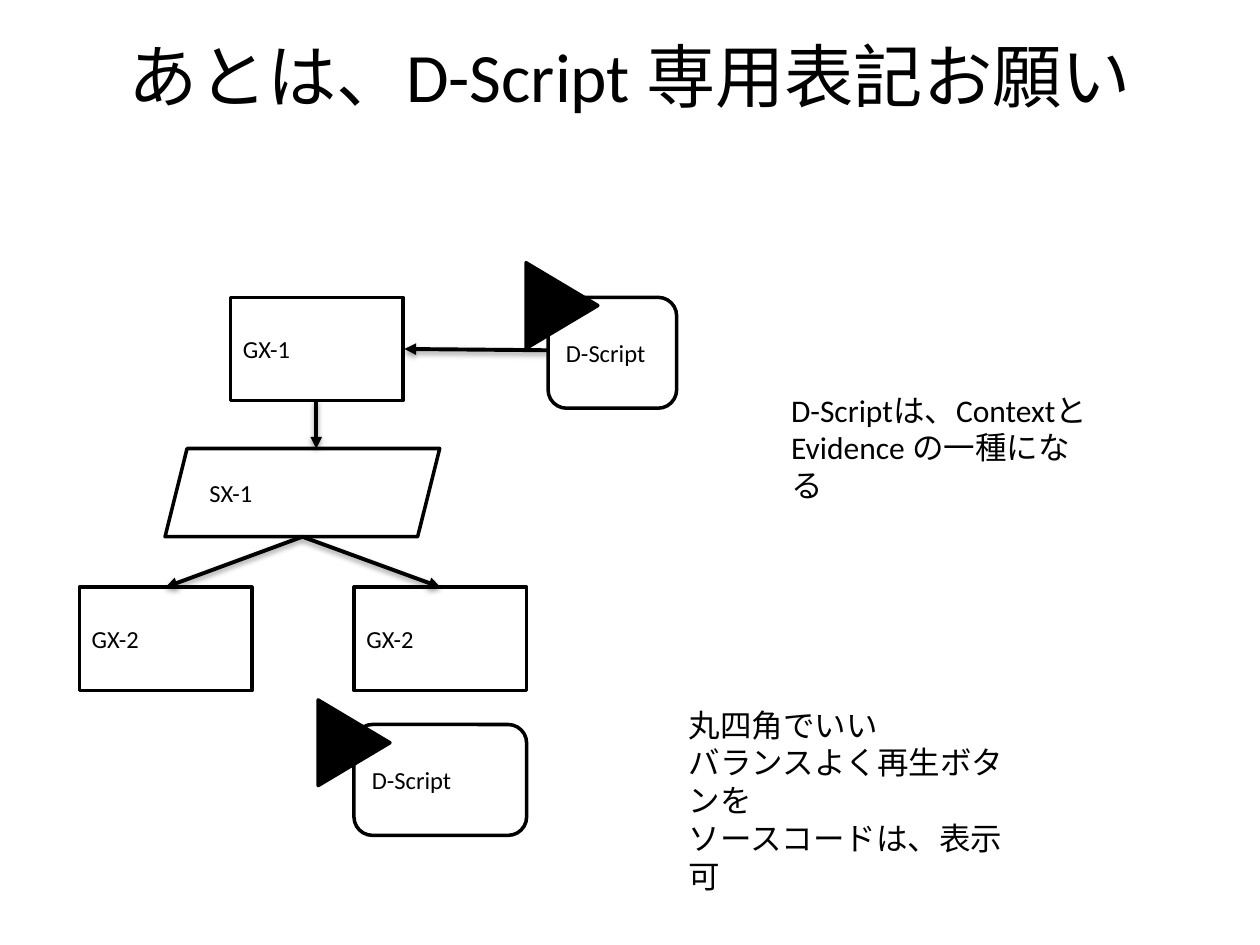
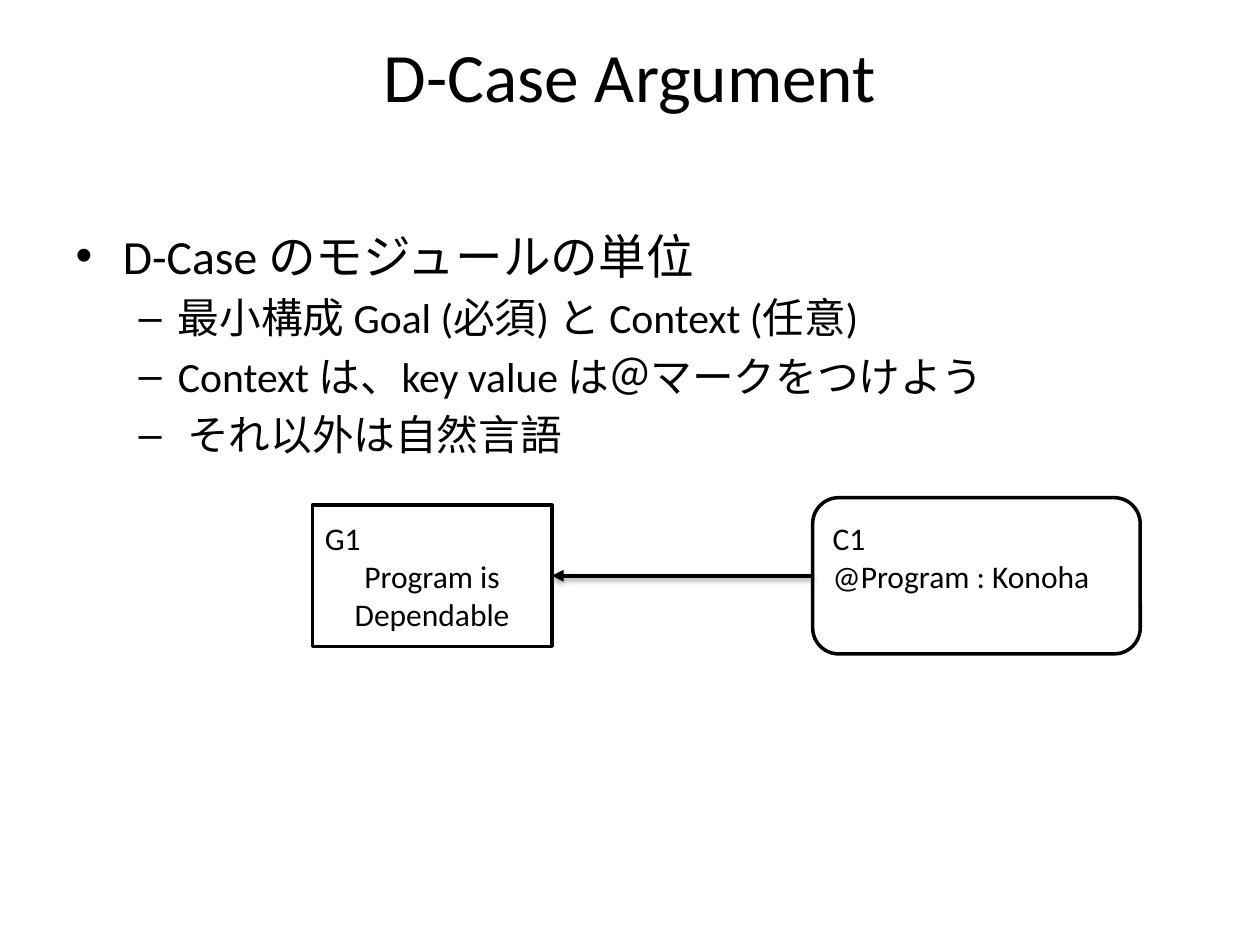
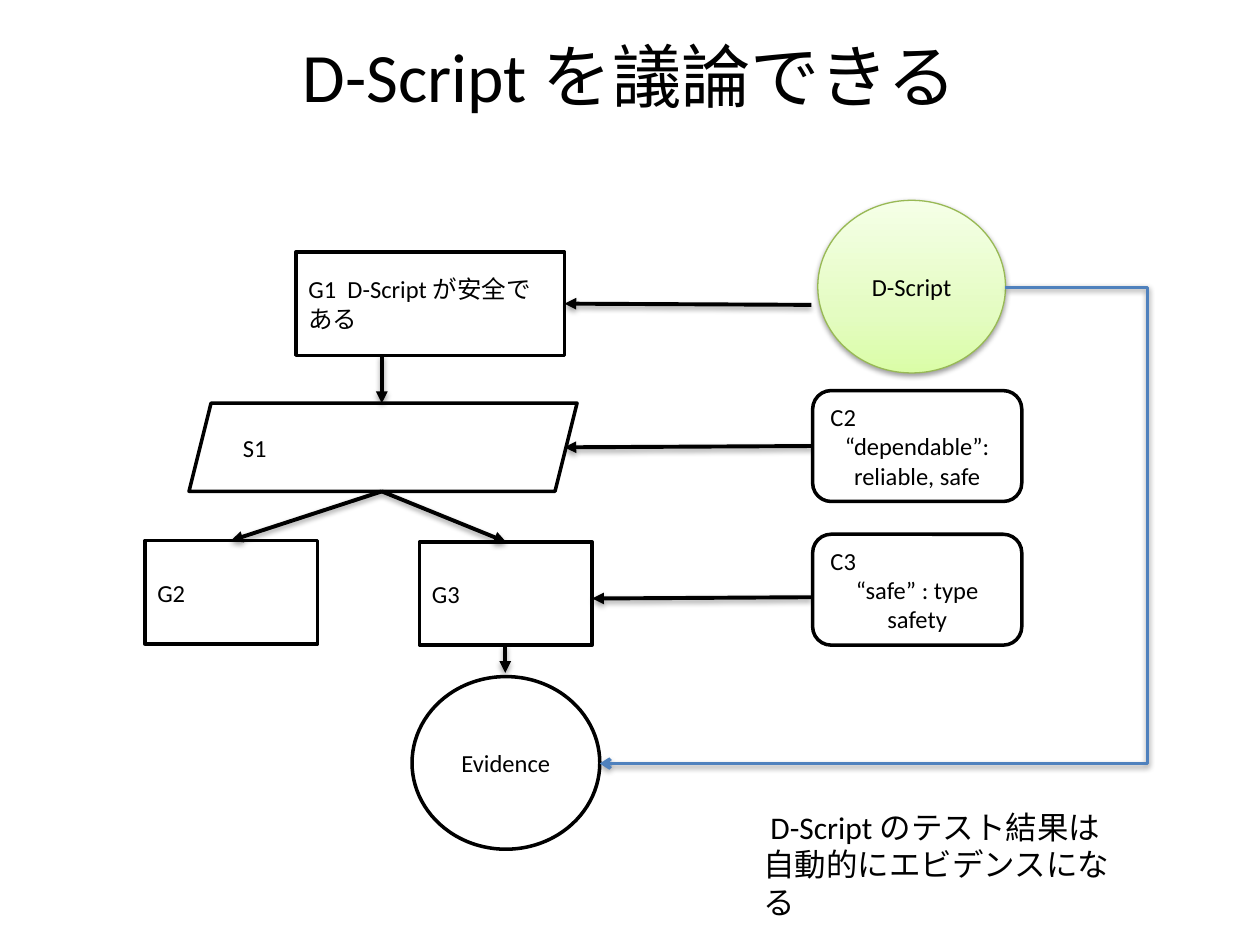
from dataclasses import dataclass

from lxml.etree import SubElement
from pptx import Presentation
from pptx.dml.color import RGBColor
from pptx.enum.shapes import MSO_CONNECTOR as CXN, MSO_SHAPE as SHAPE
from pptx.enum.text import MSO_ANCHOR as ANCHOR, MSO_AUTO_SIZE as AUTO, PP_ALIGN as ALIGN
from pptx.oxml.ns import qn
from pptx.util import Inches, Pt


@dataclass(frozen=True)
class Theme:
    font: str = "Calibri"
    ink: str = "000000"
    paper: str = "FFFFFF"
    link: str = "4F81BD"
    script_line: str = "98B955"
    script_stops: tuple = ((0, "DAFDA7"), (35, "E4FCC2"), (100, "F5FFE7"))
    title: float = 39.6
    bullet: float = 27.2
    sub_bullet: float = 23.8
    note: float = 18
    node: float = 14
    outline: float = 2
    arrow: float = 2.25


T = Theme()
GOAL = (1.37, 0.82)
CONTEXT = (1.66, 0.88)
CIRCLE = (1.49, 1.37)


def rgb(value):
    return RGBColor.from_string(value)


def write(tf, *lines, size=T.node, first=ALIGN.LEFT, rest=None, anchor=ANCHOR.MIDDLE):
    tf.word_wrap = True
    tf.auto_size = AUTO.NONE
    tf.vertical_anchor = anchor
    for i, line in enumerate(lines):
        p = tf.paragraphs[0] if i == 0 else tf.add_paragraph()
        p.alignment = first if i == 0 or rest is None else rest
        r = p.add_run()
        r.text = line
        r.font.name = T.font
        r.font.size = Pt(size)
        r.font.color.rgb = rgb(T.ink)


def place(s, x, y, w, h):
    s.left, s.top, s.width, s.height = map(Inches, (x, y, w, h))


def add_slide(prs, title, layout=5):
    slide = prs.slides.add_slide(prs.slide_layouts[layout])
    place(slide.shapes.title, 0.5, 0.3, 9, 0.59)
    write(slide.shapes.title.text_frame, title, size=T.title, first=ALIGN.CENTER)
    return slide


def add_shadow(s):
    sp_pr = s._element.spPr
    effects = sp_pr.find(qn("a:effectLst"))
    if effects is None:
        effects = SubElement(sp_pr, qn("a:effectLst"))
    shadow = SubElement(effects, qn("a:outerShdw"), blurRad="40000", dist="20000",
                        dir="5400000", rotWithShape="0")
    color = SubElement(shadow, qn("a:srgbClr"), val=T.ink)
    SubElement(color, qn("a:alpha"), val="38000")


def add_node(slide, shape, at, box, *lines, fill=T.paper, **fmt):
    s = slide.shapes.add_shape(shape, *map(Inches, at + box))
    s.shadow.inherit = False
    s.fill.solid()
    s.fill.fore_color.rgb = rgb(fill)
    s.line.color.rgb = rgb(T.ink)
    s.line.width = Pt(T.outline)
    write(s.text_frame, *lines, **fmt)
    return s


def add_play_mark(slide, at):
    s = add_node(slide, SHAPE.ISOSCELES_TRIANGLE, at, (0.68, 0.57), fill=T.ink)
    s.rotation = 90


def add_script_circle(slide, at, label):
    s = add_node(slide, SHAPE.OVAL, at, CIRCLE, label, first=ALIGN.CENTER)
    s.fill.gradient()
    s.fill.gradient_angle = 90
    stops = s._element.spPr.find(qn("a:gradFill")).find(qn("a:gsLst"))
    for stop in list(stops):
        stops.remove(stop)
    for pos, color in T.script_stops:
        stop = SubElement(stops, qn("a:gs"), pos=str(pos * 1000))
        SubElement(stop, qn("a:srgbClr"), val=color)
    s.line.color.rgb = rgb(T.script_line)
    s.line.width = Pt(0.75)
    add_shadow(s)


def add_arrow(slide, start, end, kind=CXN.STRAIGHT, color=T.ink, width=T.arrow, head="triangle"):
    c = slide.shapes.add_connector(kind, *map(Inches, start + end))
    c.line.color.rgb = rgb(color)
    c.line.width = Pt(width)
    SubElement(c._element.spPr.find(qn("a:ln")), qn("a:tailEnd"), type=head)
    add_shadow(c)
    return c


def add_elbow(slide, start, end, bend):
    c = add_arrow(slide, start, end, CXN.ELBOW, T.link, T.outline, "arrow")
    geom = c._element.spPr.find(qn("a:prstGeom"))
    guides = geom.find(qn("a:avLst"))
    if guides is None:
        guides = SubElement(geom, qn("a:avLst"))
    SubElement(guides, qn("a:gd"), name="adj1", fmla=f"val {round(bend * 100000)}")


def add_note(slide, at, box, *lines):
    s = slide.shapes.add_textbox(*map(Inches, at + box))
    write(s.text_frame, *lines, size=T.note, anchor=ANCHOR.TOP)


def add_bullets(slide, head, *subs):
    body = slide.placeholders[1]
    place(body, 0.5, 1.75, 9, 1.81)
    tf = body.text_frame
    write(tf, head, *subs, size=T.sub_bullet, anchor=ANCHOR.TOP)
    tf.paragraphs[0].runs[0].font.size = Pt(T.bullet)
    for p in tf.paragraphs[1:]:
        p.level = 1


def build_notation(prs):
    slide = add_slide(prs, "あとは、D-Script 専用表記お願い")
    add_node(slide, SHAPE.RECTANGLE, (1.83, 2.36), GOAL, "GX-1")
    add_arrow(slide, (4.35, 2.78), (3.21, 2.77))
    add_node(slide, SHAPE.PARALLELOGRAM, (1.31, 3.56), (2.18, 0.7), "SX-1")
    add_arrow(slide, (2.51, 3.18), (2.51, 3.56))
    add_node(slide, SHAPE.ROUNDED_RECTANGLE, (4.35, 2.36), (1.02, 0.88), "D-Script")
    for x in (0.63, 2.81):
        add_node(slide, SHAPE.RECTANGLE, (x, 4.66), GOAL, "GX-2")
        add_arrow(slide, (2.4, 4.26), (x + GOAL[0] / 2, 4.66))
    add_node(slide, SHAPE.ROUNDED_RECTANGLE, (2.81, 5.75), (1.37, 0.88), "D-Script")
    add_note(slide, (5.37, 5.55), (2.84, 1.01),
             "丸四角でいい", "バランスよく再生ボタンを", "ソースコードは、表示可")
    for at in ((2.47, 5.61), (4.12, 2.14)):
        add_play_mark(slide, at)
    add_note(slide, (6.18, 3.05), (2.62, 0.71), "D-Scriptは、Contextと", "Evidence の一種になる")


def build_argument(prs):
    slide = add_slide(prs, "D-Case Argument", layout=1)
    add_bullets(slide, "D-Case のモジュールの単位",
                "最小構成 Goal (必須) と Context (任意)",
                "Context は、key value は＠マークをつけよう",
                " それ以外は自然言語")
    add_node(slide, SHAPE.RECTANGLE, (2.48, 4.01), (1.9, 1.12),
             "G1", "Program is Dependable", size=T.note, rest=ALIGN.CENTER)
    context = add_node(slide, SHAPE.ROUNDED_RECTANGLE, (6.45, 3.95), (2.6, 1.24),
                       "C1", "@Program : Konoha", size=T.note)
    context.text_frame.margin_bottom = Inches(0.35)
    add_arrow(slide, (6.45, 4.57), (4.38, 4.57))


def build_discussion(prs):
    slide = add_slide(prs, "D-Script を議論できる")
    add_node(slide, SHAPE.RECTANGLE, (2.35, 2), (2.13, 0.82), "G1  D-Script が安全である")
    add_arrow(slide, (6.44, 2.42), (4.48, 2.41))
    add_node(slide, SHAPE.PARALLELOGRAM, (1.5, 3.2), (3.08, 0.7), "S1")
    add_arrow(slide, (3.03, 2.82), (3.03, 3.2))
    for x, y, label in ((1.15, 4.29, "G2"), (3.33, 4.3, "G3")):
        add_node(slide, SHAPE.RECTANGLE, (x, y), GOAL, label)
        add_arrow(slide, (3.03, 3.9), (x + GOAL[0] / 2, y))
    contexts = (
        (3.1, "C2", "“dependable”: reliable, safe", (6.45, 3.54), (4.48, 3.55)),
        (4.24, "C3", "“safe” : type safety", (6.44, 4.74), (4.7, 4.75)),
    )
    for y, label, text, start, end in contexts:
        add_arrow(slide, start, end)
        add_node(slide, SHAPE.ROUNDED_RECTANGLE, (6.45, y), CONTEXT,
                 label, text, rest=ALIGN.CENTER)
    add_arrow(slide, (4.01, 5.12), (4.01, 5.34))
    add_note(slide, (5.96, 6.36), (3.01, 0.71),
             " D-Script のテスト結果は", "自動的にエビデンスになる")
    add_script_circle(slide, (6.49, 1.59), "D-Script")
    add_node(slide, SHAPE.OVAL, (3.27, 5.37), CIRCLE, "Evidence", first=ALIGN.CENTER)
    add_elbow(slide, (7.98, 2.28), (4.76, 6.06), bend=-0.35)


def main():
    prs = Presentation()
    prs.slide_width, prs.slide_height = Inches(10), Inches(7.5)
    build_notation(prs)
    build_argument(prs)
    build_discussion(prs)
    prs.save("out.pptx")


if __name__ == "__main__":
    main()
